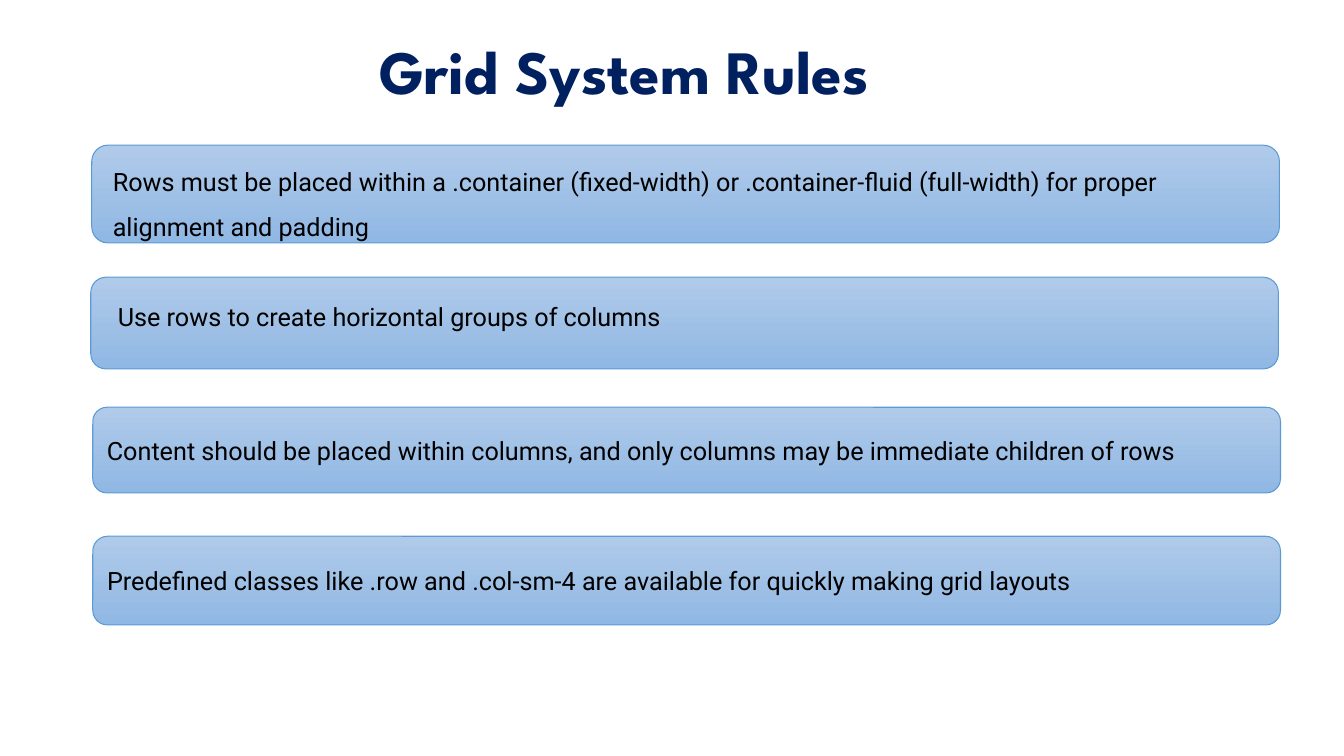
from pptx import Presentation
from pptx.dml.color import RGBColor
from pptx.enum.shapes import MSO_SHAPE
from pptx.enum.text import MSO_ANCHOR, MSO_AUTO_SIZE, PP_ALIGN
from pptx.util import Inches, Pt

TITLE = "Grid System Rules"
# Each rule: text, its bar, and the box of its text (None: inside the bar)
RULES = [
    {"text": "Rows must be placed within a .container (fixed-width) or "
             ".container-fluid (full-width) for proper alignment and padding",
     "bar": (0.91, 1.44, 0.97), "label": (1.02, 1.45, 11.39, 0.95), "spacing": 1.5},
    {"text": "Use rows to create horizontal groups of columns",
     "bar": (0.9, 2.75, 0.91), "label": (1.07, 2.94, 6.67, 0.4), "spacing": 1.0},
    {"text": "Content should be placed within columns, and only columns "
             "may be immediate children of rows",
     "bar": (0.92, 4.04, 0.85), "label": None, "spacing": 1.0},
    {"text": "Predefined classes like .row and .col-sm-4 are available "
             "for quickly making grid layouts",
     "bar": (0.92, 5.32, 0.88), "label": None, "spacing": 1.0},
]
BAR_WIDTH = 11.78
COLORS = {"title": "002060", "text": "000000", "outline": "5B9BD5",
          "bar_top": "B0CAE9", "bar_bottom": "90B8E4"}


def color(name):
    return RGBColor.from_string(COLORS[name])


def write(holder, text, size=18, font="Roboto", ink="text", bold=False,
          spacing=1.0, anchor=MSO_ANCHOR.TOP):
    frame = holder.text_frame
    frame.word_wrap = True
    frame.auto_size = MSO_AUTO_SIZE.NONE
    frame.vertical_anchor = anchor
    paragraph = frame.paragraphs[0]
    paragraph.alignment = PP_ALIGN.LEFT
    paragraph.line_spacing = spacing
    run = paragraph.add_run()
    run.text = text
    run.font.size = Pt(size)
    run.font.name = font
    run.font.bold = bold
    run.font.color.rgb = color(ink)


def add_bar(slide, left, top, height):
    bar = slide.shapes.add_shape(MSO_SHAPE.ROUNDED_RECTANGLE, Inches(left),
                                 Inches(top), Inches(BAR_WIDTH), Inches(height))
    bar.shadow.inherit = False
    bar.fill.gradient()
    bar.fill.gradient_angle = 270  # light at the top
    for stop, name in zip(bar.fill.gradient_stops, ("bar_top", "bar_bottom")):
        stop.color.rgb = color(name)
    bar.line.color.rgb = color("outline")
    bar.line.width = Pt(0.75)
    return bar


presentation = Presentation()
presentation.slide_width = Inches(13.33)
presentation.slide_height = Inches(7.5)
slide = presentation.slides.add_slide(presentation.slide_layouts[5])

# Title
title = slide.shapes.title
title.left, title.top = Inches(3.66), Inches(0.28)
title.width, title.height = Inches(5.68), Inches(0.84)
write(title, TITLE, size=44, font="League Spartan", ink="title", bold=True)

# Rules
for rule in RULES:
    bar = add_bar(slide, *rule["bar"])
    if rule["label"]:
        label = slide.shapes.add_textbox(*map(Inches, rule["label"]))
        write(label, rule["text"], spacing=rule["spacing"])
    else:
        write(bar, rule["text"], anchor=MSO_ANCHOR.MIDDLE)

presentation.save("out.pptx")
